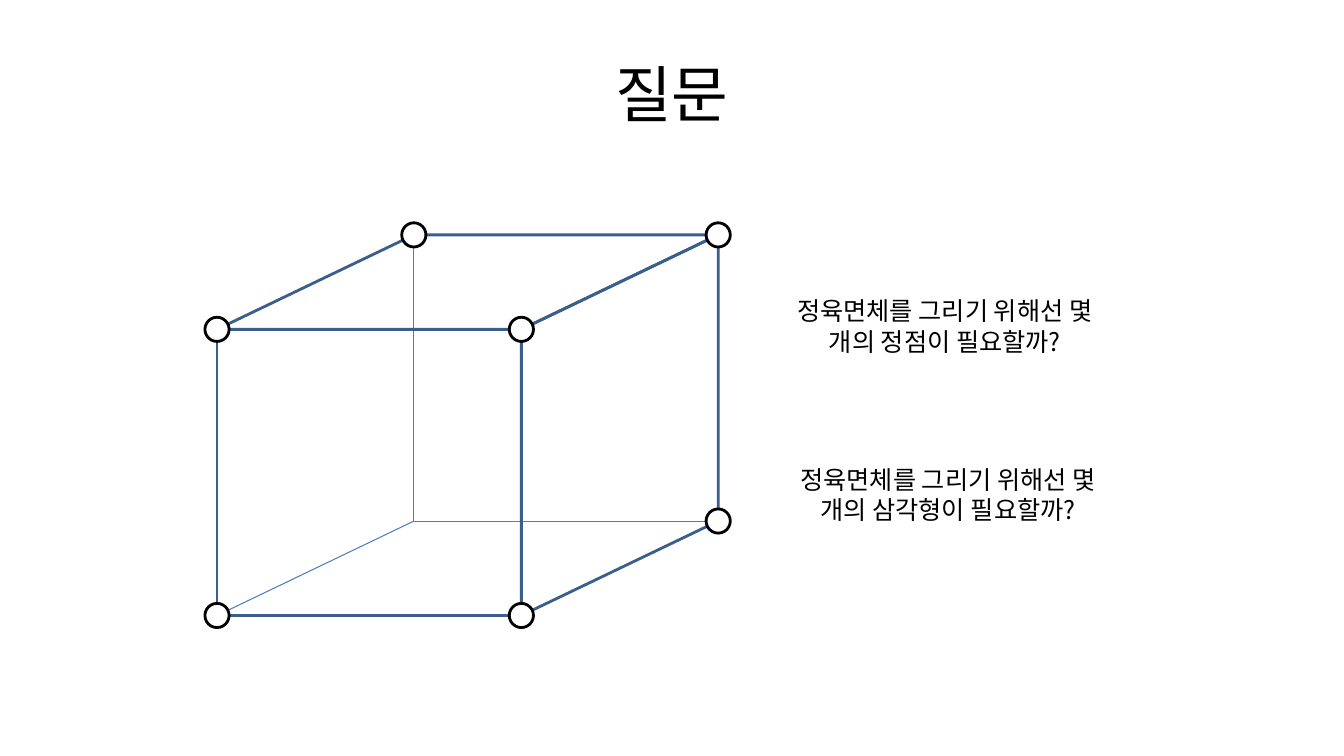
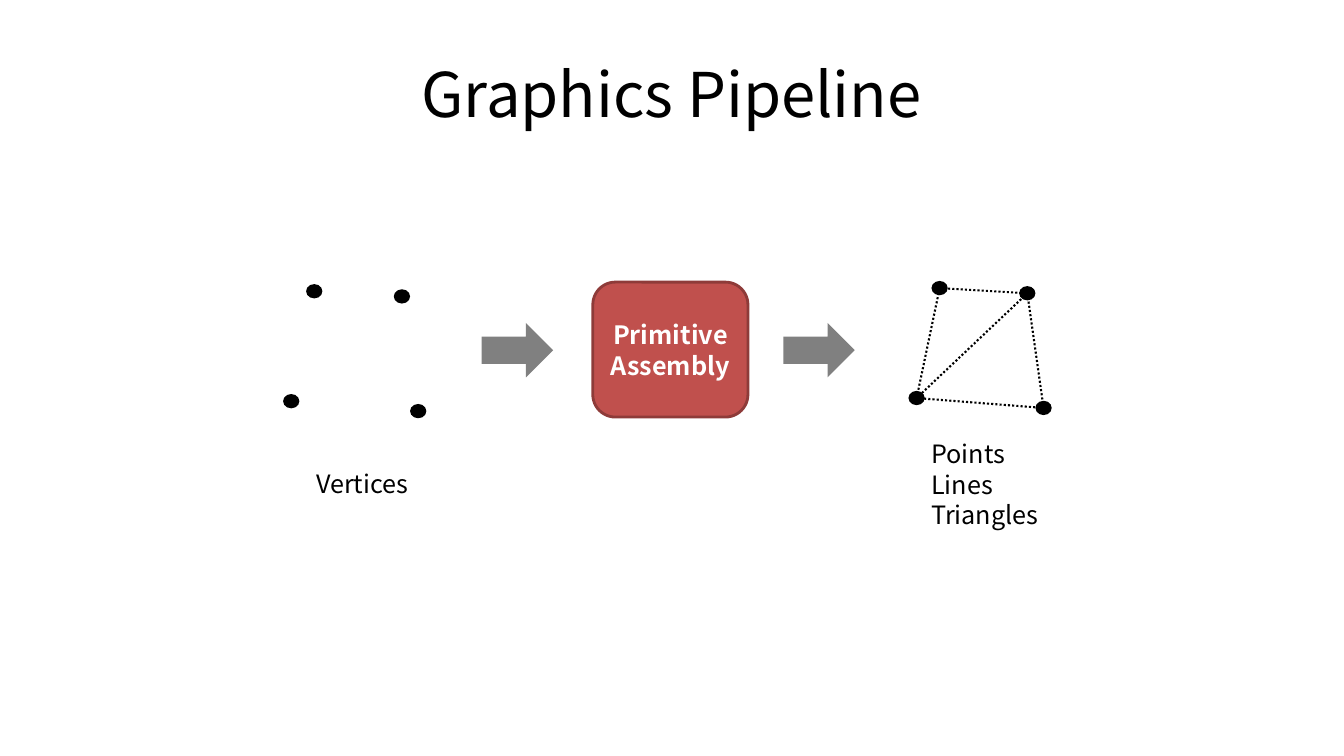
"""Build two slides on cube vertices and the primitive assembly stage."""
from lxml.etree import SubElement
from pptx import Presentation
from pptx.dml.color import RGBColor
from pptx.enum.dml import MSO_LINE
from pptx.enum.shapes import MSO_CONNECTOR, MSO_SHAPE
from pptx.enum.text import MSO_ANCHOR, MSO_AUTO_SIZE, PP_ALIGN
from pptx.oxml.ns import qn
from pptx.shapes.connector import Connector
from pptx.util import Cm, Pt

FONT = "Noto Sans CJK KR"
COLORS = {
    "black": "000000",
    "white": "FFFFFF",
    "edge": "3A5F8C",
    "hidden edge": "4B7EBC",
    "arrow": "808080",
    "stage": "C0504D",
    "stage border": "8E3B39",
}
TITLE_FORMAT = {"size": Pt(44), "bold": False}
BODY_FORMAT = {"size": Pt(18), "bold": False}
STAGE_FORMAT = {"size": Pt(18), "bold": True}
BODY_LINE = Pt(21.8)


def write_text(shape, lines, text_format, color="black", align=PP_ALIGN.CENTER, spacing=BODY_LINE):
    frame = shape.text_frame
    frame.word_wrap = True
    frame.auto_size = MSO_AUTO_SIZE.NONE
    frame.text = "\n".join(lines)
    for paragraph in frame.paragraphs:
        paragraph.alignment = align
        paragraph.line_spacing = spacing
        for run in paragraph.runs:
            for name, value in text_format.items():
                setattr(run.font, name, value)
            run.font.name = FONT
            run.font.color.rgb = RGBColor.from_string(COLORS[color])
            SubElement(run.font._element, qn("a:ea")).set("typeface", FONT)


def paint(shape, fill=None, line=None, width=2):
    if line:
        shape.line.color.rgb = RGBColor.from_string(COLORS[line])
        shape.line.width = Pt(width)
    else:
        shape.line.fill.background()
    if isinstance(shape, Connector):
        SubElement(shape._element.spPr, qn("a:effectLst"))
        return
    shape.shadow.inherit = False
    if fill:
        shape.fill.solid()
        shape.fill.fore_color.rgb = RGBColor.from_string(COLORS[fill])
    else:
        shape.fill.background()


presentation = Presentation()
presentation.slide_width = Cm(33.87)
presentation.slide_height = Cm(19.05)

slides = []
for title_text in ("질문", "Graphics Pipeline"):
    slide = presentation.slides.add_slide(presentation.slide_layouts[5])
    title = slide.shapes.title
    title.left, title.top, title.width, title.height = Cm(1.69), Cm(0.76), Cm(30.48), Cm(3.18)
    write_text(title, [title_text], TITLE_FORMAT, spacing=1.0)
    title.text_frame.vertical_anchor = MSO_ANCHOR.MIDDLE
    slides.append(slide)
question_slide, pipeline_slide = slides

left, top, width, height = 5.47, 8.3, 7.67, 7.21
depth_x, depth_y = 4.96, -2.38
right, bottom = left + width, top + height
front = {"top left": (left, top), "top right": (right, top),
         "bottom left": (left, bottom), "bottom right": (right, bottom)}
back = {name: (x + depth_x, y + depth_y) for name, (x, y) in front.items()}

shapes = question_slide.shapes
hidden_corner = back["bottom left"]
for corner in (back["top left"], front["bottom left"], back["bottom right"]):
    points = [Cm(value) for value in corner + hidden_corner]
    paint(shapes.add_connector(MSO_CONNECTOR.STRAIGHT, *points), line="hidden edge", width=0.75)

front_face = shapes.add_shape(MSO_SHAPE.RECTANGLE, Cm(left), Cm(top), Cm(width), Cm(height))
paint(front_face, line="edge")
for first, second in (("top left", "top right"), ("top right", "bottom right")):
    outline = [(Cm(x), Cm(y)) for x, y in (front[first], back[first], back[second], front[second])]
    builder = shapes.build_freeform(*outline[0], scale=1.0)
    builder.add_line_segments(outline[1:], close=True)
    paint(builder.convert_to_shape(), line="edge")

vertex_size = 0.61
visible_corners = [*front.values(), *(corner for corner in back.values() if corner != hidden_corner)]
for x, y in visible_corners:
    vertex = shapes.add_shape(MSO_SHAPE.OVAL, Cm(x - vertex_size / 2), Cm(y - vertex_size / 2),
                              Cm(vertex_size), Cm(vertex_size))
    paint(vertex, "white", "black")

for x, y, question in (
    (19.71, 7.32, "정육면체를 그리기 위해선 몇 개의 정점이 필요할까?"),
    (19.79, 11.56, "정육면체를 그리기 위해선 몇 개의 삼각형이 필요할까?"),
):
    question_box = shapes.add_textbox(Cm(x), Cm(y), Cm(8.2), Cm(1.8))
    write_text(question_box, [question], BODY_FORMAT)

shapes = pipeline_slide.shapes
vertices = [(7.92, 7.34), (7.34, 10.11), (10.54, 10.36), (10.13, 7.47)]
primitive_points = [(x + 15.76, y - 0.08) for x, y in vertices]
for start, end in ((1, 0), (0, 3), (3, 2), (2, 1), (3, 1)):
    points = [Cm(value) for value in primitive_points[start] + primitive_points[end]]
    edge = shapes.add_connector(MSO_CONNECTOR.STRAIGHT, *points)
    edge.line.dash_style = MSO_LINE.ROUND_DOT
    paint(edge, line="black", width=1.5)

dot_width, dot_height = 0.41, 0.36
for x, y in vertices + primitive_points:
    dot = shapes.add_shape(MSO_SHAPE.FLOWCHART_CONNECTOR, Cm(x - dot_width / 2),
                           Cm(y - dot_height / 2), Cm(dot_width), Cm(dot_height))
    paint(dot, "black")

for x in (12.14, 19.74):
    arrow = shapes.add_shape(MSO_SHAPE.RIGHT_ARROW, Cm(x), Cm(8.14), Cm(1.8), Cm(1.37))
    paint(arrow, "arrow")

stage = shapes.add_shape(MSO_SHAPE.ROUNDED_RECTANGLE, Cm(14.94), Cm(7.11), Cm(3.91), Cm(3.4))
paint(stage, "stage", "stage border")
write_text(stage, ["Primitive Assembly"], STAGE_FORMAT, "white")
stage.text_frame.vertical_anchor = MSO_ANCHOR.MIDDLE

for x, y, box_width, box_height, lines in (
    (7.72, 11.68, 3, 1.02, ["Vertices"]),
    (23.22, 10.92, 3.86, 2.57, ["Points", "Lines", "Triangles"]),
):
    label = shapes.add_textbox(Cm(x), Cm(y), Cm(box_width), Cm(box_height))
    write_text(label, lines, BODY_FORMAT, align=PP_ALIGN.LEFT)

presentation.save("out.pptx")
